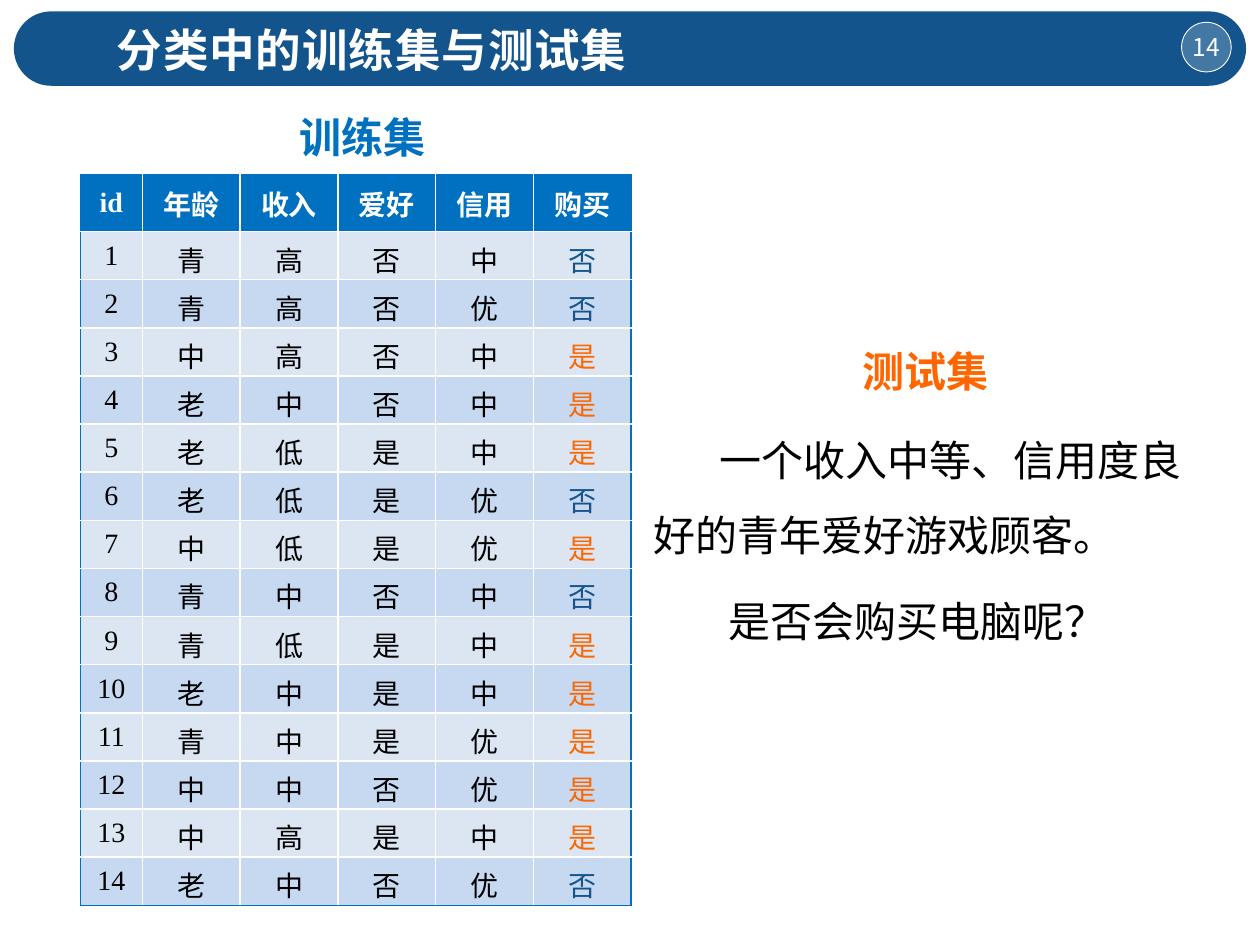
from lxml.etree import SubElement
from pptx import Presentation
from pptx.dml.color import RGBColor
from pptx.enum.shapes import MSO_SHAPE as Preset
from pptx.enum.text import MSO_ANCHOR as Anchor, PP_ALIGN as Align
from pptx.oxml.ns import qn
from pptx.util import Cm, Pt

NAVY, BLUE, ORANGE = "13548C", "0070C0", "FF6600"
WHITE, BLACK = "FFFFFF", "000000"
BANDS = ("DCE6F2", "C6D9F1")
LATIN, CHINESE = "Times New Roman", "Noto Sans CJK SC"

HEADERS = ["id", "年龄", "收入", "爱好", "信用", "购买"]
CUSTOMERS = [
    "青高否中否", "青高否优否", "中高否中是", "老中否中是", "老低是中是",
    "老低是优否", "中低是优是", "青中否中否", "青低是中是", "老中是中是",
    "青中是优是", "中中否优是", "中高是中是", "老中否优否",
]
ANSWER_COLORS = {"是": ORANGE, "否": NAVY}


def color(value):
    return RGBColor.from_string(value)


def write(paragraph, text, size=24, fill=BLACK, bold=False, font=LATIN,
          align=Align.LEFT, spacing=None, first_line=None, before=None):
    paragraph.alignment = align
    if spacing:
        paragraph.line_spacing = spacing
    if before:
        paragraph.space_before = before
    if first_line:
        paragraph._p.get_or_add_pPr().set("indent", str(first_line))
    run = paragraph.add_run()
    run.text = text
    run.font.size = Pt(size)
    run.font.bold = bold
    run.font.name = font
    run.font.color.rgb = color(fill)
    SubElement(run.font._element, qn("a:ea"), typeface=CHINESE)
    return run


class SlideBuilder:
    """Draws styled elements on the current slide."""

    def __init__(self, presentation):
        self.slide = presentation.slides.add_slide(presentation.slide_layouts[5])
        self.shapes = self.slide.shapes

    def shape(self, preset, left, top, width, height, fill, opacity=None, line=None):
        shape = self.shapes.add_shape(preset, Cm(left), Cm(top), Cm(width), Cm(height))
        shape.shadow.inherit = False
        shape.fill.solid()
        shape.fill.fore_color.rgb = color(fill)
        if opacity:
            solid = shape._element.spPr.find(qn("a:solidFill"))
            SubElement(solid[0], qn("a:alpha"), val=str(opacity * 1000))
        if line:
            shape.line.color.rgb = color(line)
            shape.line.width = Pt(0.5)
        else:
            shape.line.fill.background()
        return shape

    def banner(self):
        bar = self.shape(Preset.ROUNDED_RECTANGLE, 0.28, 0.23, 24.84, 1.5, NAVY)
        bar.adjustments[0] = 0.5

    def page_number(self, number):
        badge = self.shape(Preset.OVAL, 23.82, 0.45, 1, 1, WHITE, 21, WHITE)
        frame = badge.text_frame
        frame.word_wrap = False
        frame.vertical_anchor = Anchor.MIDDLE
        frame.margin_left = frame.margin_right = 0
        frame.margin_top = frame.margin_bottom = 0
        write(frame.paragraphs[0], number, size=14, fill=WHITE,
              font=CHINESE, align=Align.CENTER)

    def title(self, text):
        title = self.shapes.title
        title.left, title.top, title.width, title.height = Cm(2.1), Cm(0.3), Cm(18.85), Cm(1.38)
        title.text_frame.vertical_anchor = Anchor.MIDDLE
        run = write(title.text_frame.paragraphs[0], text, size=26, fill=WHITE, bold=True)
        run.font._element.set("spc", "50")
        self.shapes._spTree.append(title._element)

    def text_box(self, left, top, width, height, anchor=Anchor.TOP):
        box = self.shapes.add_textbox(Cm(left), Cm(top), Cm(width), Cm(height))
        box.text_frame.word_wrap = True
        box.text_frame.vertical_anchor = anchor
        return box.text_frame

    def heading(self, text, left, top, fill):
        frame = self.text_box(left, top, 3.6, 1.27, Anchor.MIDDLE)
        write(frame.paragraphs[0], text, fill=fill, bold=True, align=Align.CENTER)

    def question(self, lines):
        frame = self.text_box(12.93, 8.13, 11.7, 4.9)
        for index, (text, first_line) in enumerate(lines):
            paragraph = frame.add_paragraph() if index else frame.paragraphs[0]
            write(paragraph, text, spacing=Pt(43), first_line=Cm(first_line),
                  before=Pt(6) if index else None)

    def cell(self, cell, text, background, borders, top_margin=0, **text_format):
        cell.fill.solid()
        cell.fill.fore_color.rgb = color(background)
        cell.vertical_anchor = Anchor.MIDDLE
        cell.margin_top, cell.margin_bottom = Cm(top_margin), 0
        write(cell.text_frame.paragraphs[0], text, size=16, align=Align.CENTER, **text_format)
        properties = cell._tc.get_or_add_tcPr()
        for position, (side, value) in enumerate(borders.items()):
            line = properties.makeelement(qn(f"a:ln{side}"), {"w": str(Pt(1))})
            solid = SubElement(line, qn("a:solidFill"))
            SubElement(solid, qn("a:srgbClr"), val=value)
            properties.insert(position, line)

    def table(self, rows):
        last_row, last_column = len(rows) - 1, len(rows[0]) - 1
        table = self.shapes.add_table(len(rows), len(rows[0]), Cm(1.62), Cm(3.53),
                                      Cm(11.1), Cm(14.72)).table
        for index, column in enumerate(table.columns):
            column.width = Cm(1.97 if index else 1.25)
        for r, values in enumerate(rows):
            table.rows[r].height = Cm(0.97 if r else 1.14)
            for c, text in enumerate(values):
                edges = {"L": c == 0, "R": c == last_column, "T": r == 0, "B": r == last_row}
                borders = {side: BLUE if outer else WHITE for side, outer in edges.items()}
                if r == 0:
                    ink = WHITE
                else:
                    ink = ANSWER_COLORS[text] if c == last_column else BLACK
                self.cell(table.cell(r, c), text, BANDS[(r - 1) % 2] if r else BLUE, borders,
                          top_margin=0.13 if r and c else 0, fill=ink, bold=r == 0)


def main():
    presentation = Presentation()
    presentation.slide_width, presentation.slide_height = Cm(25.4), Cm(19.05)
    builder = SlideBuilder(presentation)
    builder.banner()
    builder.page_number("14")
    builder.title("分类中的训练集与测试集")
    builder.table([HEADERS] + [[str(number), *values]
                               for number, values in enumerate(CUSTOMERS, 1)])
    builder.question([("一个收入中等、信用度良好的青年爱好游戏顾客。", 1.32),
                      ("是否会购买电脑呢？", 1.5)])
    builder.heading("训练集", 5.51, 2.13, BLUE)
    builder.heading("测试集", 16.85, 6.83, ORANGE)
    presentation.save("out.pptx")


if __name__ == "__main__":
    main()
